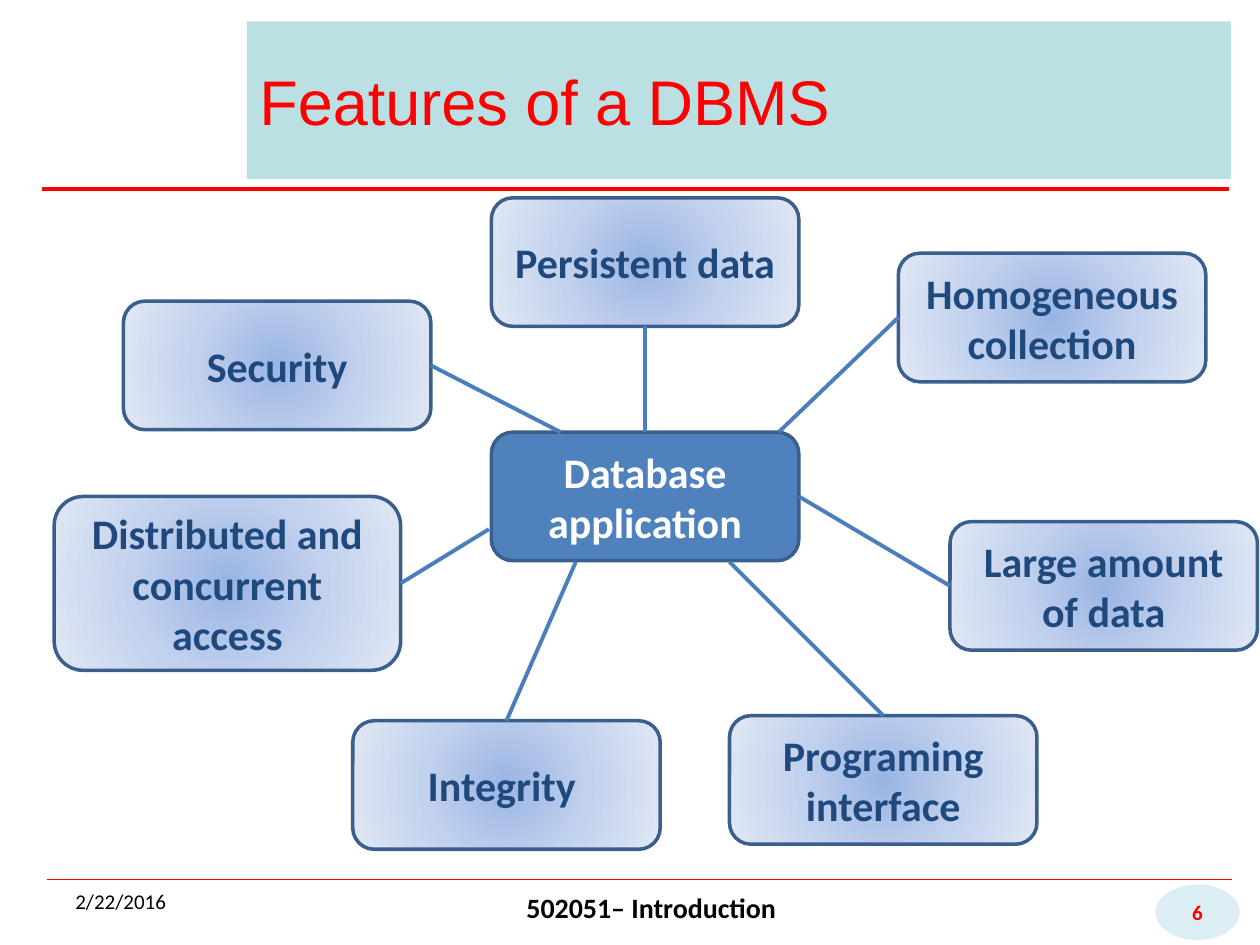
from dataclasses import dataclass
from typing import Optional

from lxml import etree
from pptx import Presentation
from pptx import util as u
from pptx.dml.color import RGBColor
from pptx.enum import shapes, text
from pptx.oxml import parse_xml
from pptx.oxml.ns import nsdecls, qn

COLS, ROWS = 100, 75  # slide grid of square cells
TOP, LEFT, BOTTOM, RIGHT = range(4)  # connection sites of a rectangle


@dataclass(frozen=True)
class Theme:
    red: str = "FF0000"
    black: str = "000000"
    white: str = "FFFFFF"
    title_band: str = "BBE0E3"
    badge: str = "DBEEF4"
    hub: str = "4F81BD"
    border: str = "3A5F8C"
    spoke: str = "4B7EBC"
    feature_text: str = "1F497D"
    glow: tuple[str, ...] = ("9AB5E4", "C2D1ED", "E1E8F5")
    heading: str = "Arial"
    body: str = "Calibri"
    title_pt: int = 36
    node_pt: int = 24
    footer_pt: int = 16
    small_pt: int = 12


@dataclass(frozen=True)
class Box:
    col: float
    row: float
    cols: float = 24.4
    rows: float = 10.2

    def emu(self) -> tuple[int, ...]:
        return (*point(self.col, self.row), *point(self.cols, self.rows))


@dataclass(frozen=True)
class Style:
    size: int
    color: str
    bold: bool = False
    font: str = "Calibri"
    align: Optional[text.PP_ALIGN] = None


@dataclass(frozen=True)
class Feature:
    label: str
    box: Box
    side: int  # side of the feature its spoke leaves from
    hub_at: tuple[float, float]  # where the spoke meets the hub
    hub_side: Optional[int] = None  # set when that is the middle of a side


T = Theme()
CENTER = text.PP_ALIGN.CENTER
HUB = Box(39, 34.3)
FEATURES = [
    Feature("Distributed and concurrent access", Box(4.3, 39.4, 27.5, 13.8),
            RIGHT, (38.8, 42)),
    Feature("Security", Box(9.8, 23.9), RIGHT, (44.5, 34.3)),
    Feature("Persistent data", Box(39, 15.7), BOTTOM, (51.2, 34.3), TOP),
    Feature("Homogeneous collection", Box(71.3, 20.1), LEFT, (61.8, 34.3)),
    Feature("Large amount of data", Box(75.4, 41.4), LEFT, (63.4, 39.4), RIGHT),
    Feature("Programing interface", Box(57.9, 56.8), TOP, (57.9, 44.6)),
    Feature("Integrity ", Box(28, 57.2), TOP, (45.7, 44.6)),
]

prs = Presentation()
prs.slide_width, prs.slide_height = u.Inches(10), u.Inches(7.5)
s = prs.slides.add_slide(prs.slide_layouts[6])


def point(col: float, row: float) -> tuple[int, int]:
    return (round(prs.slide_width * col / COLS),
            round(prs.slide_height * row / ROWS))


def write(sp, words: str, style: Style, middle: bool = True) -> None:
    tf = sp.text_frame
    tf.word_wrap = True
    tf.vertical_anchor = (text.MSO_ANCHOR.MIDDLE if middle
                          else text.MSO_ANCHOR.TOP)
    p = tf.paragraphs[0]
    p.alignment = style.align or text.PP_ALIGN.LEFT
    p.add_run().text = words
    p.font.name, p.font.size = style.font, u.Pt(style.size)
    p.font.bold = style.bold
    p.font.color.rgb = RGBColor.from_string(style.color)


def add_label(box: Box, words: str, style: Style, middle: bool = True) -> None:
    write(s.shapes.add_textbox(*box.emu()), words, style, middle)


def add_shape(kind, box: Box, words: str, style: Style,
              fill: Optional[str] = None, border: Optional[str] = None):
    sp = s.shapes.add_shape(kind, *box.emu())
    sp.shadow.inherit = False
    if fill:
        sp.fill.solid()
        sp.fill.fore_color.rgb = RGBColor.from_string(fill)
    else:
        add_glow(sp)
    if border:
        sp.line.color.rgb = RGBColor.from_string(border)
        sp.line.width = u.Pt(2)
    else:
        sp.line.fill.background()
    write(sp, words, style)
    return sp


def add_glow(sp) -> None:
    """Fill a shape with the theme's colours, radiating from its centre."""
    stops = "".join(
        f'<a:gs pos="{i * 50000}"><a:srgbClr val="{c}"/></a:gs>'
        for i, c in enumerate(T.glow))
    grad = parse_xml(
        f'<a:gradFill {nsdecls("a")} rotWithShape="1"><a:gsLst>{stops}</a:gsLst>'
        '<a:path path="circle"><a:fillToRect l="50000" t="50000" r="50000" '
        'b="50000"/></a:path></a:gradFill>')
    sp._element.spPr.find(qn("a:prstGeom")).addnext(grad)


def add_line(start: tuple[float, float], end: tuple[float, float],
             color: str, width: float):
    line = s.shapes.add_connector(shapes.MSO_CONNECTOR.STRAIGHT,
                                  *point(*start), *point(*end))
    line.line.color.rgb = RGBColor.from_string(color)
    line.line.width = u.Pt(width)
    etree.SubElement(line._element.spPr, qn("a:effectLst"))
    return line


# Rules and footer
add_line((3.3, 15), (97.5, 15), T.red, 2.75)
add_line((3.7, 69.8), (97.8, 69.8), T.red, 1)
add_shape(shapes.MSO_SHAPE.OVAL, Box(91.7, 70.2, 6.7, 4.4), "6",
          Style(T.small_pt, T.red, True, align=CENTER), T.badge)
add_label(Box(40.8, 70.2, 25, 3.7), "502051– Introduction",
          Style(T.footer_pt, T.black, True), middle=False)
add_label(Box(5, 69.5, 23.3, 4), "2/22/2016", Style(T.small_pt, T.black))

# Title band
add_shape(shapes.MSO_SHAPE.RECTANGLE, Box(19.6, 1.7, 78.1, 12.5),
          "Features of a DBMS", Style(T.title_pt, T.red, font=T.heading),
          T.title_band)

# Hub with its features around it
ROUNDED = shapes.MSO_SHAPE.ROUNDED_RECTANGLE
hub = add_shape(ROUNDED, HUB, "Database application",
                Style(T.node_pt, T.white, True, align=CENTER), T.hub, T.border)
for f in FEATURES:
    node = add_shape(ROUNDED, f.box, f.label,
                     Style(T.node_pt, T.feature_text, True, align=CENTER),
                     border=T.border)
    spoke = add_line((f.box.col, f.box.row), f.hub_at, T.spoke, 2.25)
    spoke.begin_connect(node, f.side)
    if f.hub_side is not None:
        spoke.end_connect(hub, f.hub_side)

prs.save("out.pptx")
